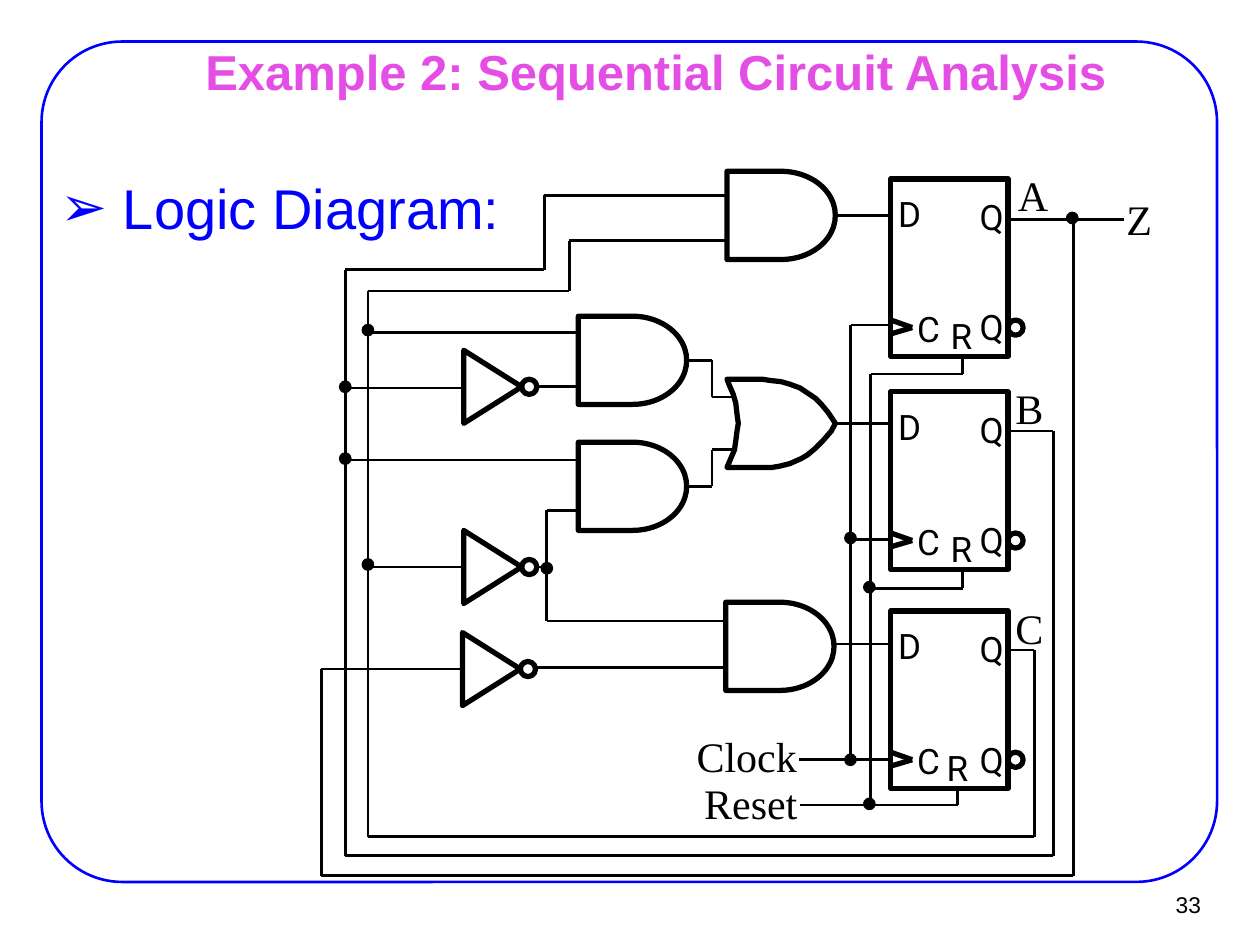
from itertools import pairwise
from lxml import etree
from pptx import Presentation
from pptx.dml.color import RGBColor
from pptx.enum.shapes import MSO_CONNECTOR, MSO_SHAPE
from pptx.enum.text import MSO_ANCHOR, PP_ALIGN
from pptx.oxml.ns import qn
from pptx.util import Inches, Pt

LINE = MSO_CONNECTOR.STRAIGHT
RECT, ROUND, OVAL = MSO_SHAPE.RECTANGLE, MSO_SHAPE.ROUNDED_RECTANGLE, MSO_SHAPE.OVAL
AND, TRI = MSO_SHAPE.FLOWCHART_DELAY, MSO_SHAPE.ISOSCELES_TRIANGLE
MIDDLE, TOP = MSO_ANCHOR.MIDDLE, MSO_ANCHOR.TOP
LEFT, CENTER, RIGHT = PP_ALIGN.LEFT, PP_ALIGN.CENTER, PP_ALIGN.RIGHT
BLACK = RGBColor(0, 0, 0)
BLUE = RGBColor(0, 0, 255)
PINK = RGBColor(0xE4, 0x4E, 0xE4)
THIN, THICK = 1.5, 3
SERIF = "Times New Roman"

TITLE = "Example 2: Sequential Circuit Analysis"
BODY = " Logic Diagram:"
NUMBER = "33"

GATES = [(5.77, 1.36), (4.59, 2.51), (4.59, 3.51), (5.76, 4.78)]
INVERTERS = [(3.62, 2.84), (3.62, 4.27), (3.61, 5.08)]
FLOPS = [(1.42, 7.43), (3.11, 7.43), (4.85, 7.4)]
PINS = [("D", 7.02, 0.06, 0.4), ("Q", 7.66, 0.08, 0.42),
        ("Q", 7.66, 0.96, 0.42), ("C", 7.17, 0.97, 0.4)]
LABELS = [("Clock", 5.43, 5.75, 1.09), ("Reset", 5.49, 6.12, 1.09),
          ("A", 7.98, 1.3, 0.52), ("B", 7.96, 2.99, 0.52),
          ("C", 7.96, 4.73, 0.52), ("Z", 8.84, 1.49, 0.52)]
OR_EDGE = [
    (5.77, 3.01), (5.79, 3.06), (5.82, 3.13), (5.84, 3.2), (5.85, 3.29),
    (5.86, 3.36), (5.85, 3.42), (5.84, 3.5), (5.83, 3.57), (5.8, 3.64),
    (5.77, 3.71), (6.03, 3.71), (6.13, 3.71), (6.19, 3.7), (6.27, 3.68),
    (6.36, 3.64), (6.41, 3.61), (6.47, 3.56), (6.53, 3.5), (6.6, 3.42),
    (6.63, 3.36), (6.57, 3.27), (6.52, 3.21), (6.47, 3.16), (6.41, 3.12),
    (6.35, 3.08), (6.27, 3.05), (6.2, 3.03), (6.11, 3.02), (6.05, 3.01)]
WIRES = [
    [(8, 1.74), (8.92, 1.74)],
    [(8.52, 1.74), (8.52, 6.95), (2.55, 6.95), (2.55, 5.31), (3.66, 5.31)],
    [(7.98, 3.42), (8.36, 3.42), (8.36, 6.79), (2.74, 6.79), (2.74, 2.14),
     (4.32, 2.14), (4.32, 1.55), (5.76, 1.55)],
    [(8, 5.16), (8.21, 5.16), (8.21, 6.64), (2.92, 6.64), (2.92, 2.31),
     (4.52, 2.31), (4.52, 1.91), (5.76, 1.91)],
    [(2.92, 2.64), (4.57, 2.64)],
    [(2.74, 3.08), (3.66, 3.08)],
    [(2.74, 3.65), (4.6, 3.65)],
    [(2.92, 4.5), (3.67, 4.5)],
    [(4.27, 3.07), (4.59, 3.07)],
    [(4.26, 4.5), (4.34, 4.5)],
    [(4.58, 4.05), (4.34, 4.05), (4.34, 4.93), (5.75, 4.93)],
    [(4.24, 5.3), (5.74, 5.3)],
    [(5.46, 2.86), (5.65, 2.86), (5.65, 3.15), (5.82, 3.15)],
    [(5.46, 3.86), (5.65, 3.86), (5.65, 3.57), (5.82, 3.57)],
    [(6.62, 1.71), (7.07, 1.71)],
    [(6.62, 3.36), (7.05, 3.36)],
    [(6.62, 5.11), (7.07, 5.11)],
    [(7.05, 2.58), (6.75, 2.58), (6.75, 6.03)],
    [(6.75, 4.28), (7.06, 4.28)],
    [(6.34, 6.03), (7.06, 6.03)],
    [(7.64, 2.83), (7.64, 2.97), (6.91, 2.97), (6.91, 6.39)],
    [(7.64, 4.53), (7.64, 4.67), (6.91, 4.67)],
    [(7.6, 6.26), (7.6, 6.39), (6.35, 6.39)]]
DOTS = [(2.74, 3.07), (2.92, 2.62), (2.74, 3.64), (2.92, 4.48), (4.34, 4.51),
        (6.75, 4.27), (6.75, 6.03), (6.9, 4.66), (6.9, 6.38), (8.51, 1.73)]

deck = Presentation()
deck.slide_width, deck.slide_height = Inches(10), Inches(7.5)
slide = deck.slides.add_slide(deck.slide_layouts[1])
shapes = slide.shapes


def place(item, x, y, w, h):
    item.left, item.top = Inches(x), Inches(y)
    item.width, item.height = Inches(w), Inches(h)


def style(para, name, size, color, bold=False):
    font = para.font
    font.name, font.size, font.bold = name, Pt(size), bold
    font.color.rgb = color


def trim(item, width, color=BLACK, fill=None):
    item.shadow.inherit = False
    if fill is None:
        item.fill.background()
    else:
        item.fill.solid()
        item.fill.fore_color.rgb = fill
    item.line.color.rgb = color
    item.line.width = Pt(width)


def draw(kind, x, y, w, h, width=THICK, color=BLACK, fill=None):
    item = shapes.add_shape(kind, Inches(x), Inches(y), Inches(w), Inches(h))
    trim(item, width, color, fill)
    return item


def route(points, width=THIN):
    for (x1, y1), (x2, y2) in pairwise(points):
        wire = shapes.add_connector(LINE, Inches(x1), Inches(y1), Inches(x2), Inches(y2))
        wire.line.color.rgb = BLACK
        wire.line.width = Pt(width)
        etree.SubElement(wire._element.spPr, qn("a:effectLst"))


def write(text, x, y, w, h, name, size, align=LEFT, anchor=TOP, wrap=False):
    frame = shapes.add_textbox(Inches(x), Inches(y), Inches(w), Inches(h)).text_frame
    frame.word_wrap, frame.vertical_anchor = wrap, anchor
    para = frame.paragraphs[0]
    para.text, para.alignment = text, align
    style(para, name, size, BLACK)


frame = draw(ROUND, 0.33, 0.33, 9.33, 6.67, THIN, BLUE)
frame.adjustments[0] = 0.096

title, body = shapes.title, slide.placeholders[1]
place(title, 0.78, 0, 8.85, 1.12)
title.text_frame.text = TITLE
title.text_frame.vertical_anchor = MIDDLE
head = title.text_frame.paragraphs[0]
head.alignment = CENTER
style(head, "Arial", 28, PINK, True)

place(body, -0.12, 1.33, 9, 4.95)
body.text_frame.text = BODY
item = body.text_frame.paragraphs[0]
item.level = 1
item.space_before = Pt(6.4)
props = item._p.get_or_add_pPr()
props.set("marL", str(Inches(0.81)))
props.set("indent", str(Inches(-0.31)))
etree.SubElement(props, qn("a:buFont")).set("typeface", "Arial")
etree.SubElement(props, qn("a:buChar")).set("char", "\u27a2")
style(item, "Arial", 32, BLUE)

write(NUMBER, 9.02, 6.99, 0.61, 0.37, "Arial", 13, RIGHT, MIDDLE)

for points in WIRES:
    route(points)
for x, y in DOTS:
    draw(OVAL, x - 0.04, y - 0.04, 0.08, 0.08, THIN, BLACK, BLACK)
for x, y in GATES:
    draw(AND, x, y, 0.86, 0.7)
for x, y in INVERTERS:
    draw(TRI, x, y, 0.58, 0.46).rotation = 90
    draw(OVAL, x + 0.52, y + 0.17, 0.12, 0.12)

start, *rest = [(Inches(x), Inches(y)) for x, y in OR_EDGE]
path = shapes.build_freeform(*start)
path.add_line_segments(rest, close=True)
trim(path.convert_to_shape(), THICK)

for y, reset in FLOPS:
    draw(RECT, 7.07, y, 0.93, 1.41)
    draw(OVAL, 8, y + 1.12, 0.12, 0.12)
    route([(7.07, y + 1.12), (7.24, y + 1.18), (7.07, y + 1.23)], THICK)
    for text, x, drop, w in PINS + [("R", reset, 1.03, 0.4)]:
        write(text, x, y + drop, w, 0.43, "Roboto", 20, CENTER, MIDDLE)
for text, x, y, w in LABELS:
    write(text, x, y, w, 0.5, SERIF, 24, wrap=True)

deck.save("out.pptx")
